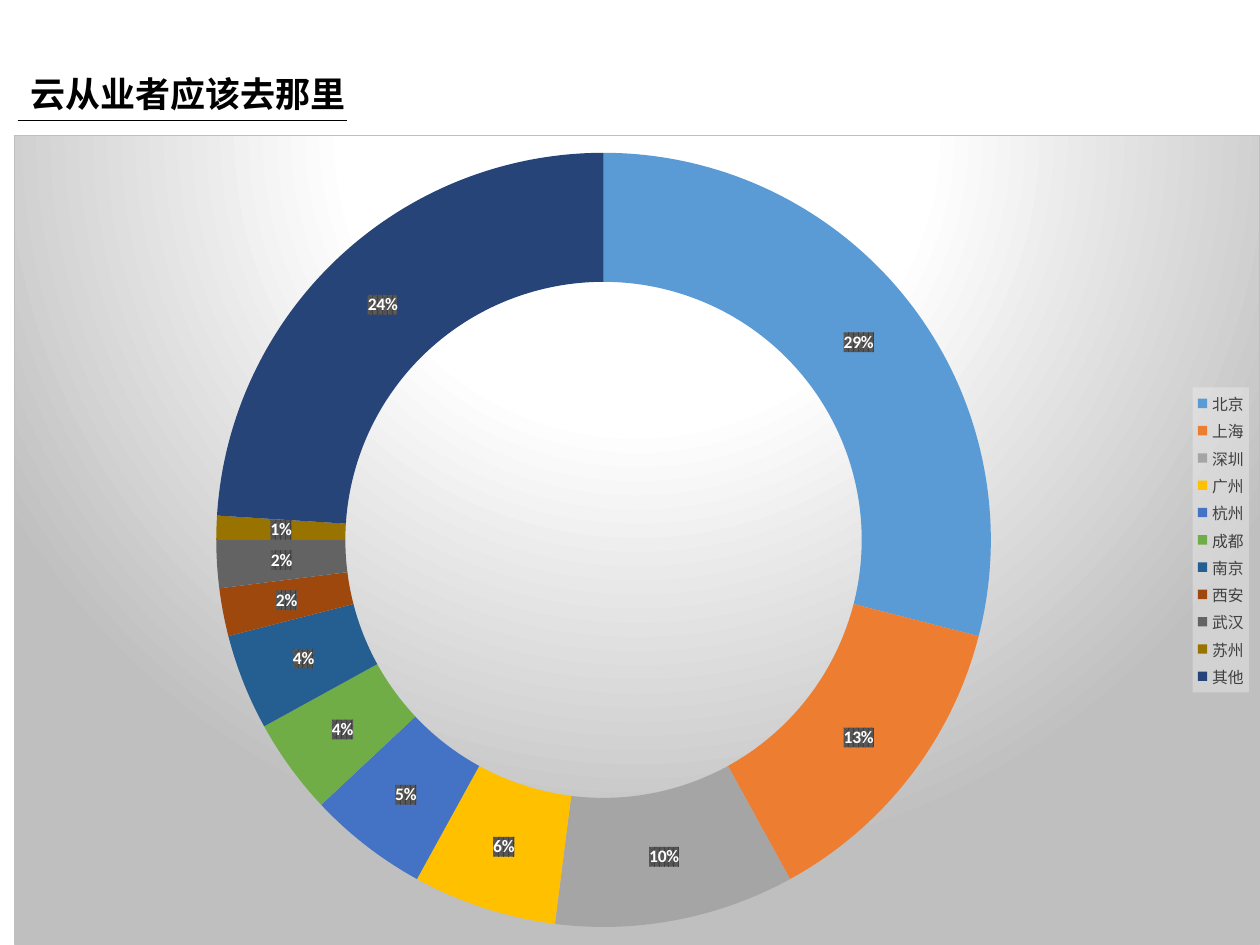
from dataclasses import dataclass

from lxml.etree import fromstring
from pptx import Presentation
from pptx.chart.chart import Chart
from pptx.chart.data import CategoryChartData
from pptx.dml.color import RGBColor
from pptx.enum.chart import XL_CHART_TYPE as ChartType, XL_LEGEND_POSITION as LegendPosition
from pptx.enum.shapes import MSO_CONNECTOR as Connector
from pptx.enum.text import MSO_AUTO_SIZE as AutoSize
from pptx.oxml.ns import nsdecls
from pptx.slide import Slide
from pptx.text.text import Font
from pptx.util import Inches, Pt

BLACK = RGBColor(0x00, 0x00, 0x00)
WHITE = RGBColor(0xFF, 0xFF, 0xFF)
DARK_GREY = RGBColor(0x40, 0x40, 0x40)

TITLE_FORMAT = {"name": "Calibri", "size": Pt(20), "bold": True}
CHART_FORMAT = {"name": "Calibri", "size": Pt(10)}
LABEL_FORMAT = {"name": "Calibri", "size": Pt(10), "bold": True}
LEGEND_FORMAT = {"name": "Calibri", "size": Pt(9)}

CHART_STYLE = """
<a:gradFill><a:gsLst>
<a:gs pos="0"><a:srgbClr val="FFFFFF"/></a:gs>
<a:gs pos="39000"><a:srgbClr val="FFFFFF"/></a:gs>
<a:gs pos="100000"><a:srgbClr val="BFBFBF"/></a:gs>
</a:gsLst><a:path path="circle">
<a:fillToRect l="50000" t="-80000" r="50000" b="180000"/>
</a:path></a:gradFill>
<a:ln w="9525"><a:solidFill><a:srgbClr val="BFBFBF"/></a:solidFill></a:ln>"""
LABEL_STYLE = """
<a:pattFill prst="pct75"><a:fgClr><a:srgbClr val="404040"/></a:fgClr>
<a:bgClr><a:srgbClr val="595959"/></a:bgClr></a:pattFill>
<a:ln><a:noFill/></a:ln>"""
LEGEND_STYLE = """
<a:solidFill><a:srgbClr val="F2F2F2"><a:alpha val="39000"/></a:srgbClr></a:solidFill>
<a:ln><a:noFill/></a:ln>"""


@dataclass(frozen=True)
class City:
    name: str
    percent: int
    color: RGBColor


CITIES = [
    City("北京", 29, RGBColor(0x5B, 0x9B, 0xD5)),
    City("上海", 13, RGBColor(0xED, 0x7D, 0x31)),
    City("深圳", 10, RGBColor(0xA5, 0xA5, 0xA5)),
    City("广州", 6, RGBColor(0xFF, 0xC0, 0x00)),
    City("杭州", 5, RGBColor(0x44, 0x72, 0xC4)),
    City("成都", 4, RGBColor(0x70, 0xAD, 0x47)),
    City("南京", 4, RGBColor(0x25, 0x5E, 0x91)),
    City("西安", 2, RGBColor(0x9E, 0x48, 0x0E)),
    City("武汉", 2, RGBColor(0x63, 0x63, 0x63)),
    City("苏州", 1, RGBColor(0x99, 0x73, 0x00)),
    City("其他", 24, RGBColor(0x26, 0x44, 0x78)),
]


def set_font(font: Font, values: dict, color: RGBColor) -> None:
    for name, value in values.items():
        setattr(font, name, value)
    font.color.rgb = color


def add_title(page: Slide, text: str) -> None:
    group = page.shapes.add_group_shape()
    box = group.shapes.add_textbox(Inches(0.14), Inches(0.53), Inches(2.73), Inches(0.44))
    frame = box.text_frame
    frame.word_wrap = False
    frame.auto_size = AutoSize.SHAPE_TO_FIT_TEXT
    span = frame.paragraphs[0].add_run()
    span.text = text
    set_font(span.font, TITLE_FORMAT, BLACK)

    rule = group.shapes.add_connector(
        Connector.STRAIGHT, Inches(0.14), Inches(0.96), Inches(2.75), Inches(0.96)
    )
    rule.line.color.rgb = BLACK
    rule.line.width = Pt(0.5)
    rule._element.spPr.append(fromstring(f"<a:effectLst {nsdecls('a')}/>"))


def add_background(chart: Chart, query: str, style: str) -> None:
    for text_properties in chart.element.xpath(query):
        text_properties.addprevious(
            fromstring(f"<c:spPr {nsdecls('c', 'a')}>{style}</c:spPr>")
        )


def add_city_chart(page: Slide, cities: list[City]) -> None:
    data = CategoryChartData()
    data.categories = [city.name for city in cities]
    data.add_series("Series 1", [None] * len(cities))
    data.add_series("Series 2", [city.percent for city in cities])
    chart = page.shapes.add_chart(
        ChartType.DOUGHNUT, Inches(0.11), Inches(1.07), Inches(9.89), Inches(6.43), data
    ).chart
    chart.has_title = False
    set_font(chart.font, CHART_FORMAT, BLACK)

    chart.has_legend = True
    chart.legend.position = LegendPosition.RIGHT
    chart.legend.include_in_layout = False
    set_font(chart.legend.font, LEGEND_FORMAT, DARK_GREY)

    plot = chart.plots[0]
    plot.vary_by_categories = True
    for series in plot.series:
        for index, city in enumerate(cities):
            fill = series.points[index].format.fill
            fill.solid()
            fill.fore_color.rgb = city.color
        labels = series.data_labels
        labels.show_value = False
        labels.show_percentage = True
        labels.number_format = "0%"
        labels.number_format_is_linked = False
        set_font(labels.font, LABEL_FORMAT, WHITE)

    add_background(chart, "./c:txPr", CHART_STYLE)
    add_background(chart, ".//c:ser/c:dLbls/c:txPr", LABEL_STYLE)
    add_background(chart, ".//c:legend/c:txPr", LEGEND_STYLE)


def main() -> None:
    """Build the slide showing where cloud professionals should go."""
    deck = Presentation()
    deck.slide_width = Inches(10)
    deck.slide_height = Inches(7.5)
    page = deck.slides.add_slide(deck.slide_layouts[6])
    add_title(page, "云从业者应该去那里")
    add_city_chart(page, CITIES)
    deck.save("out.pptx")


if __name__ == "__main__":
    main()
